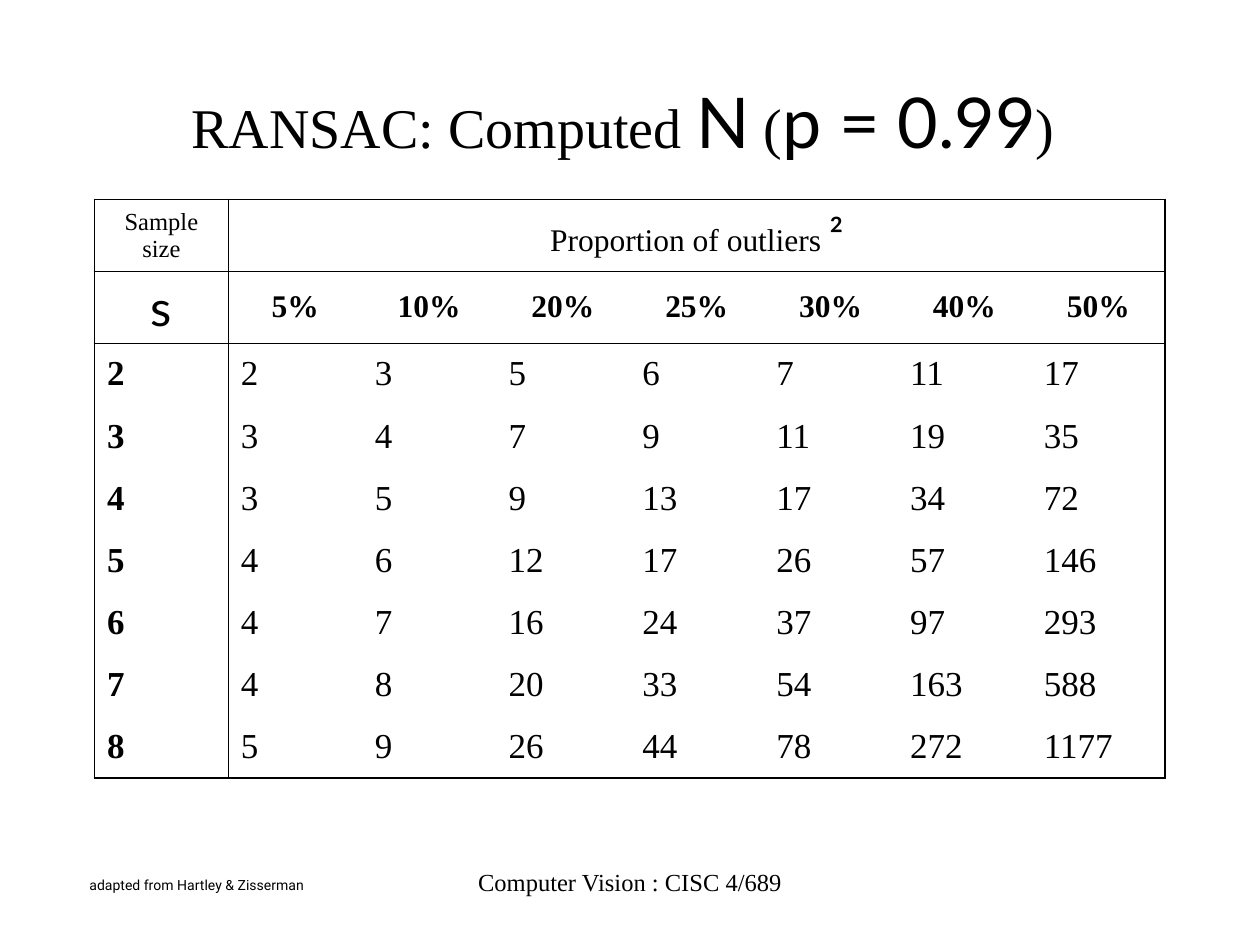
import pptx
import pptx.dml.color
import pptx.enum.text
import pptx.oxml
import pptx.oxml.ns
import pptx.util

Pt = pptx.util.Pt
ALIGN = pptx.enum.text.PP_ALIGN
MIDDLE = pptx.enum.text.MSO_ANCHOR.MIDDLE
HUES = {"ink": "000000"}
SERIF, SANS, NOTE = "Times New Roman", "Lato", "Roboto"
THICK, THIN = 1.08, 0.45


class Deck:
    """Holds the style and the current slide."""

    def __init__(self, wide, high):
        self.show = pptx.Presentation()
        self.show.slide_width, self.show.slide_height = Pt(wide), Pt(high)
        self.slide = self.show.slides.add_slide(self.show.slide_layouts[6])
        self.ink = pptx.dml.color.RGBColor.from_string(HUES["ink"])

    def words(self, frame, runs, align):
        """Fill a frame with one paragraph of (text, size, font, bold) runs."""
        para = frame.paragraphs[0]
        para.alignment = align
        for text, size, face, bold in runs:
            run = para.add_run()
            run.text = text
            style = {"size": Pt(size), "name": face, "bold": bold}
            for key, value in style.items():
                setattr(run.font, key, value)
            run.font.color.rgb = self.ink

    def text(self, box, runs, align=ALIGN.LEFT, **form):
        frame = self.slide.shapes.add_textbox(*map(Pt, box)).text_frame
        for key, value in {"word_wrap": True, **form}.items():
            setattr(frame, key, value)
        self.words(frame, runs, align)

    def grid(self, left, top, widths, heights):
        wide, high = sum(widths), sum(heights)
        table = self.slide.shapes.add_table(
            len(heights), len(widths),
            Pt(left), Pt(top), Pt(wide), Pt(high)).table
        table.first_row = table.horz_banding = False
        for col, width in zip(table.columns, widths):
            col.width = Pt(width)
        for row, height in zip(table.rows, heights):
            row.height = Pt(height)
        return table

    def cell(self, cell, runs, align):
        cell.fill.background()
        cell.vertical_anchor = MIDDLE
        self.words(cell.text_frame, runs, align)

    def edge(self, cell, sides):
        """Set the four cell borders; a weight of 0 hides the line."""
        space = pptx.oxml.ns.nsdecls("a")
        props = cell._tc.get_or_add_tcPr()
        for spot, (side, weight) in enumerate(sides.items()):
            fill = "<a:noFill/>"
            if weight:
                fill = (f'<a:solidFill><a:srgbClr val="{HUES["ink"]}"/>'
                        "</a:solidFill>")
            props.insert(spot, pptx.oxml.parse_xml(
                f'<a:ln{side} {space} w="{int(Pt(weight))}">{fill}</a:ln{side}>'))


def weight(line, last, inner):
    """Outer lines are thick, chosen inner lines thin, the rest hidden."""
    if line in (0, last):
        return THICK
    return THIN if line in inner else 0


deck = Deck(720, 540)

# Footer and title
deck.text((246, 492, 228, 36),
          [("Computer Vision : CISC 4/689", 14, SERIF, False)], ALIGN.CENTER)
deck.text((12, 24, 696, 90),
          [("RANSAC: Computed ", 32, SERIF, False), ("N", 40, SANS, False),
           (" (", 32, SERIF, False), ("p = 0.99", 40, SANS, False),
           (") ", 32, SERIF, False)],
          ALIGN.CENTER, vertical_anchor=MIDDLE)

# Table of sample counts
RATES = ["5%", "10%", "20%", "25%", "30%", "40%", "50%"]
COUNTS = {
    2: [2, 3, 5, 6, 7, 11, 17],
    3: [3, 4, 7, 9, 11, 19, 35],
    4: [3, 5, 9, 13, 17, 34, 72],
    5: [4, 6, 12, 17, 26, 57, 146],
    6: [4, 7, 16, 24, 37, 97, 293],
    7: [4, 8, 20, 33, 54, 163, 588],
    8: [5, 9, 26, 44, 78, 272, 1177],
}
cols, rows = len(RATES) + 1, len(COUNTS) + 2
table = deck.grid(54, 114, [76.5] * cols, [41] * 2 + [35.5] * len(COUNTS))
table.cell(0, 1).merge(table.cell(0, cols - 1))

# Header rows
deck.cell(table.cell(0, 0), [("Sample size", 14, SERIF, False)], ALIGN.CENTER)
deck.cell(table.cell(0, 1), [("Proportion of outliers ", 18, SERIF, False),
                             ("²", 24, SANS, False)], ALIGN.CENTER)
deck.cell(table.cell(1, 0), [("s", 28, SANS, False)], ALIGN.CENTER)
for col, rate in enumerate(RATES, 1):
    deck.cell(table.cell(1, col), [(rate, 18, SERIF, True)], ALIGN.CENTER)

# Body rows
for row, (size, counts) in enumerate(COUNTS.items(), 2):
    for col, value in enumerate([size, *counts]):
        deck.cell(table.cell(row, col),
                  [(str(value), 20, SERIF, col == 0)], ALIGN.LEFT)

# Borders
for row in range(rows):
    for col in range(cols):
        cell = table.cell(row, col)
        right = col + (cell.span_width if cell.is_merge_origin else 1)
        deck.edge(cell, {"L": weight(col, cols, (1,)),
                         "R": weight(right, cols, (1,)),
                         "T": weight(row, rows, (1, 2)),
                         "B": weight(row + 1, rows, (1, 2))})

# Credit
deck.text((44, 497.5, 145, 17),
          [("adapted from Hartley & Zisserman", 8, NOTE, False)],
          word_wrap=False)

deck.show.save("out.pptx")
